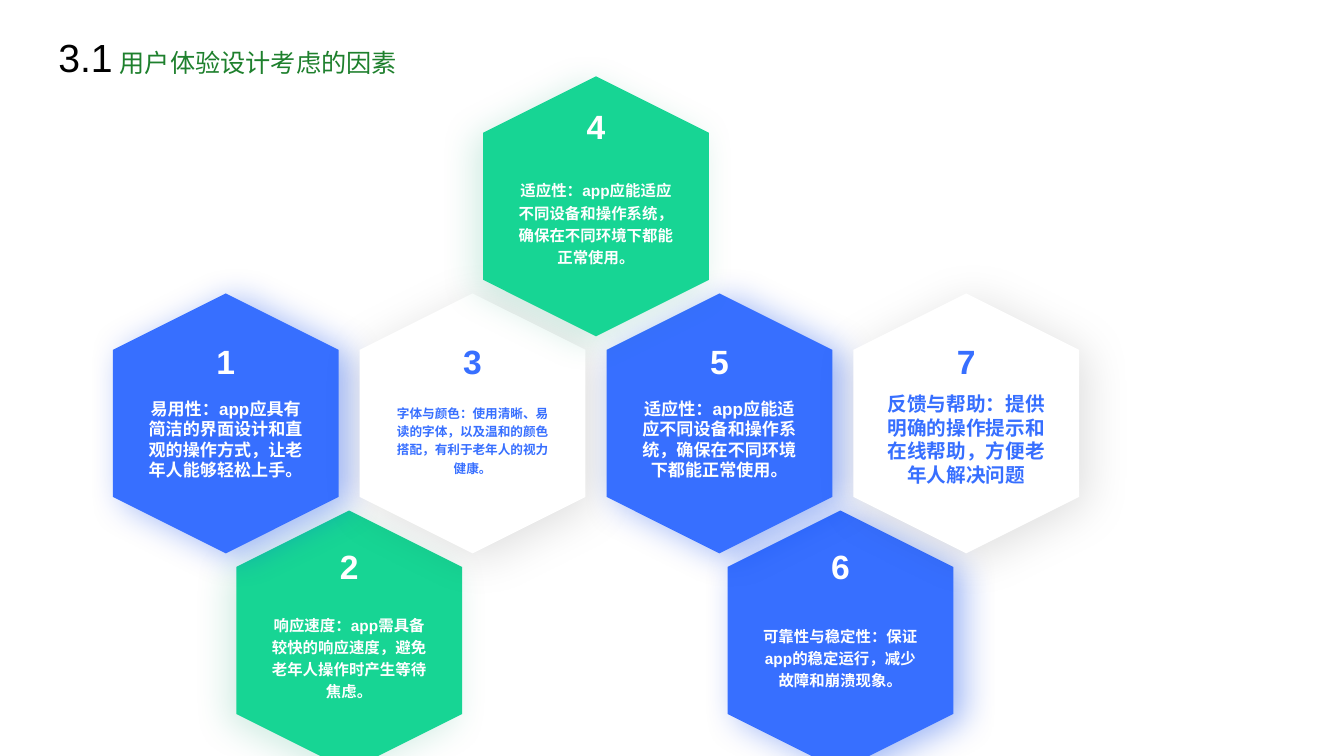
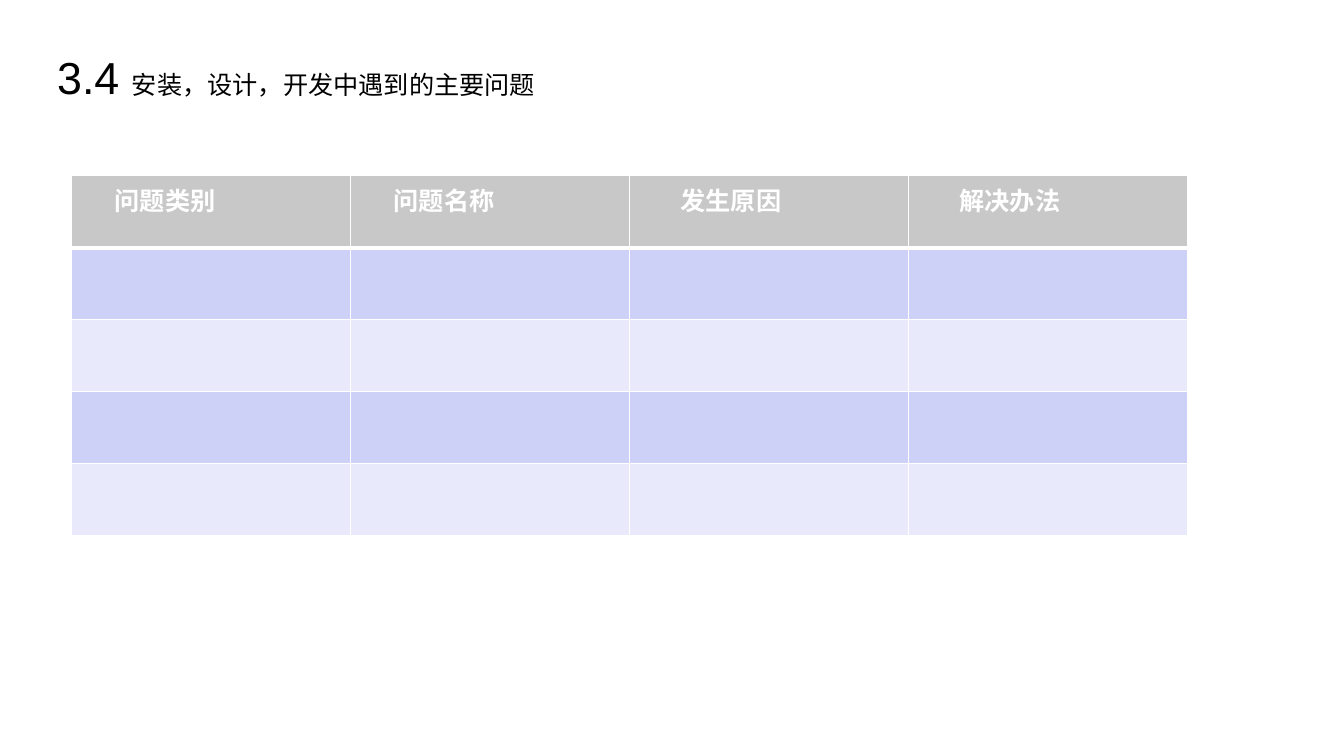
from dataclasses import dataclass

from lxml import etree
from pptx import Presentation
from pptx.dml.color import RGBColor
from pptx.enum import shapes, text
from pptx.oxml import ns
from pptx.util import Cm, Pt


@dataclass(frozen=True)
class Shadow:
    color: str
    opacity: int
    blur: int
    distance: int
    direction: int


@dataclass(frozen=True)
class Look:
    fill: str
    ink: str
    shadow: Shadow


@dataclass(frozen=True)
class Theme:
    font: str = "Arial"
    white: str = "FFFFFF"
    black: str = "000000"
    title_green: str = "1E802D"
    header: str = "C8C8C8"
    bands: tuple = ("CDD1F7", "E8E9FB")
    green: Look = Look("17D594", "FFFFFF", Shadow("11A06F", 18, 25, 8, 143))
    blue: Look = Look("376FFF", "FFFFFF", Shadow("0041E9", 38, 25, 8, 24))
    light: Look = Look("FFFFFF", "376FFF", Shadow("000000", 13, 34, 6, 40))
    number_size: float = 24
    heading_size: float = 18
    large: float = 14
    medium: float = 12.2
    small: float = 11
    tiny: float = 9


THEME = Theme()


@dataclass(frozen=True)
class Factor:
    number: str
    column: float
    row: int
    look: Look
    size: float
    spacing: float
    body: str


FACTORS = [
    Factor("2", 0.5, 1, THEME.green, THEME.small, 1.2,
           "响应速度：app需具备较快的响应速度，避免老年人操作时产生等待焦虑。"),
    Factor("1", 0, 0, THEME.blue, THEME.medium, 1,
           "易用性：app应具有简洁的界面设计和直观的操作方式，让老年人能够轻松上手。"),
    Factor("3", 1, 0, THEME.light, THEME.tiny, 1.2,
           "字体与颜色：使用清晰、易读的字体，以及温和的颜色搭配，有利于老年人的视力健康。"),
    Factor("6", 2.49, 1, THEME.blue, THEME.small, 1.2,
           "可靠性与稳定性：保证app的稳定运行，减少故障和崩溃现象。"),
    Factor("5", 2, 0, THEME.blue, THEME.medium, 1,
           "适应性：app应能适应不同设备和操作系统，确保在不同环境下都能正常使用。"),
    Factor("7", 3, 0, THEME.light, THEME.large, 1,
           "反馈与帮助：提供明确的操作提示和在线帮助，方便老年人解决问题"),
    Factor("4", 1.5, -1, THEME.green, THEME.small, 1.2,
           "适应性：app应能适应不同设备和操作系统，确保在不同环境下都能正常使用。"),
]
NUMBER_RISE = {-1: 2.02, 0: 1.56, 1: 1.87}
TABLE_HEADERS = [("问题类别", 1.08), ("问题名称", 1.08), ("发生原因", 1.28), ("解决办法", 1.28)]


class Deck:
    def __init__(self, theme):
        self.theme = theme
        self.presentation = Presentation()
        self.presentation.slide_width = Cm(33.87)
        self.presentation.slide_height = Cm(19.05)
        self.slide = None

    def add_slide(self):
        self.slide = self.presentation.slides.add_slide(self.presentation.slide_layouts[6])

    def style(self, run, size, color, bold=False):
        run.font.name = self.theme.font
        run.font.size = Pt(size)
        run.font.bold = bold
        run.font.color.rgb = RGBColor.from_string(color)

    def text_box(self, left, top, width, height):
        shape = self.slide.shapes.add_textbox(Cm(left), Cm(top), Cm(width), Cm(height))
        shape.text_frame.word_wrap = True
        return shape.text_frame

    def title(self, left, top, width, height, pieces):
        paragraph = self.text_box(left, top, width, height).paragraphs[0]
        for words, size, color in pieces:
            run = paragraph.add_run()
            run.text = words
            self.style(run, size, color)

    def centred_text(self, center_x, center_y, width, height, words, size, color, spacing=1):
        frame = self.text_box(center_x - width / 2, center_y - height / 2, width, height)
        frame.vertical_anchor = text.MSO_ANCHOR.MIDDLE
        frame.text = words
        paragraph = frame.paragraphs[0]
        paragraph.alignment = text.PP_ALIGN.CENTER
        paragraph.line_spacing = float(spacing)
        self.style(paragraph.runs[0], size, color, bold=True)

    def hexagon(self, center_x, center_y, look):
        width, height = 6.55, 5.69
        shape = self.slide.shapes.add_shape(
            shapes.MSO_SHAPE.HEXAGON, Cm(center_x - width / 2), Cm(center_y - height / 2),
            Cm(width), Cm(height))
        shape.rotation = 90
        shape.fill.solid()
        shape.fill.fore_color.rgb = RGBColor.from_string(look.fill)
        shape.line.fill.background()
        shape.shadow.inherit = False
        self.cast_shadow(shape, look.shadow)

    def cast_shadow(self, shape, shadow):
        effects = shape.element.spPr.find(ns.qn("a:effectLst"))
        outer = etree.SubElement(
            effects, ns.qn("a:outerShdw"), blurRad=str(Pt(shadow.blur)),
            dist=str(Pt(shadow.distance)), dir=str(shadow.direction * 60000),
            algn="ctr", rotWithShape="0")
        color = etree.SubElement(outer, ns.qn("a:srgbClr"), val=shadow.color)
        etree.SubElement(color, ns.qn("a:alpha"), val=str(shadow.opacity * 1000))

    def border(self, cell, widths):
        properties = cell._tc.get_or_add_tcPr()
        for index, (side, width) in enumerate(widths.items()):
            line = etree.Element(ns.qn(f"a:ln{side}"), w=str(Pt(width)))
            fill = etree.SubElement(line, ns.qn("a:solidFill"))
            etree.SubElement(fill, ns.qn("a:srgbClr"), val=self.theme.white)
            properties.insert(index, line)

    def table(self, left, top, width, height, row_count, headers):
        table = self.slide.shapes.add_table(
            row_count, len(headers), Cm(left), Cm(top), Cm(width), Cm(height)).table
        for row in range(row_count):
            for column, (words, indent) in enumerate(headers):
                cell = table.cell(row, column)
                color = self.theme.bands[(row - 1) % 2] if row else self.theme.header
                cell.fill.solid()
                cell.fill.fore_color.rgb = RGBColor.from_string(color)
                self.border(cell, {"L": 1, "R": 1, "T": 3 if row == 1 else 1,
                                   "B": 1 if row else 3})
                if row == 0:
                    cell.text_frame.text = words
                    cell.margin_left = Cm(indent)
                    self.style(cell.text_frame.paragraphs[0].runs[0],
                               self.theme.heading_size, self.theme.white, bold=True)


def build_factors(deck):
    theme = deck.theme
    deck.add_slide()
    placed = [(factor, 5.69 + 6.22 * factor.column, 10.67 + 5.47 * factor.row)
              for factor in FACTORS]
    for factor, center_x, center_y in placed:
        deck.hexagon(center_x, center_y, factor.look)
    for factor, center_x, center_y in placed:
        deck.centred_text(center_x, center_y - NUMBER_RISE[factor.row], 2.66, 2,
                          factor.number, theme.number_size, factor.look.ink)
        deck.centred_text(center_x, center_y + 0.4, 4.6, 3.12, factor.body,
                          factor.size, factor.look.ink, factor.spacing)
    deck.title(1.22, 0.71, 9.37, 1.45, [
        ("3.1", 28, theme.black),
        (" ", theme.heading_size, theme.black),
        ("用户体验设计考虑的因素", theme.heading_size, theme.title_green)])


def build_problems(deck):
    theme = deck.theme
    deck.add_slide()
    deck.title(1.19, 1.12, 16.48, 3.71, [
        ("3.4 ", 32, theme.black),
        ("安装，设计，开发中遇到的主要问题", theme.heading_size, theme.black)])
    deck.table(1.81, 4.43, 28.12, 9.07, 5, TABLE_HEADERS)


def main():
    deck = Deck(THEME)
    build_factors(deck)
    build_problems(deck)
    deck.presentation.save("out.pptx")


if __name__ == "__main__":
    main()
